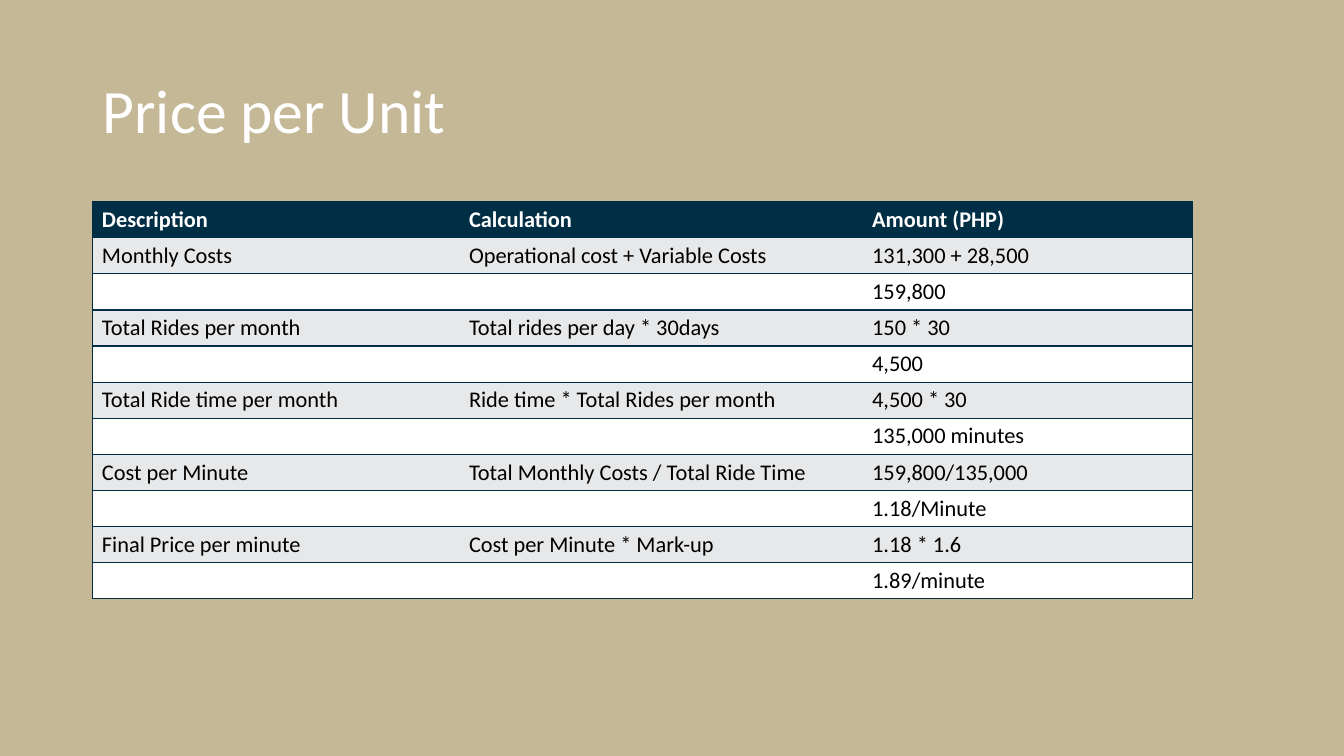
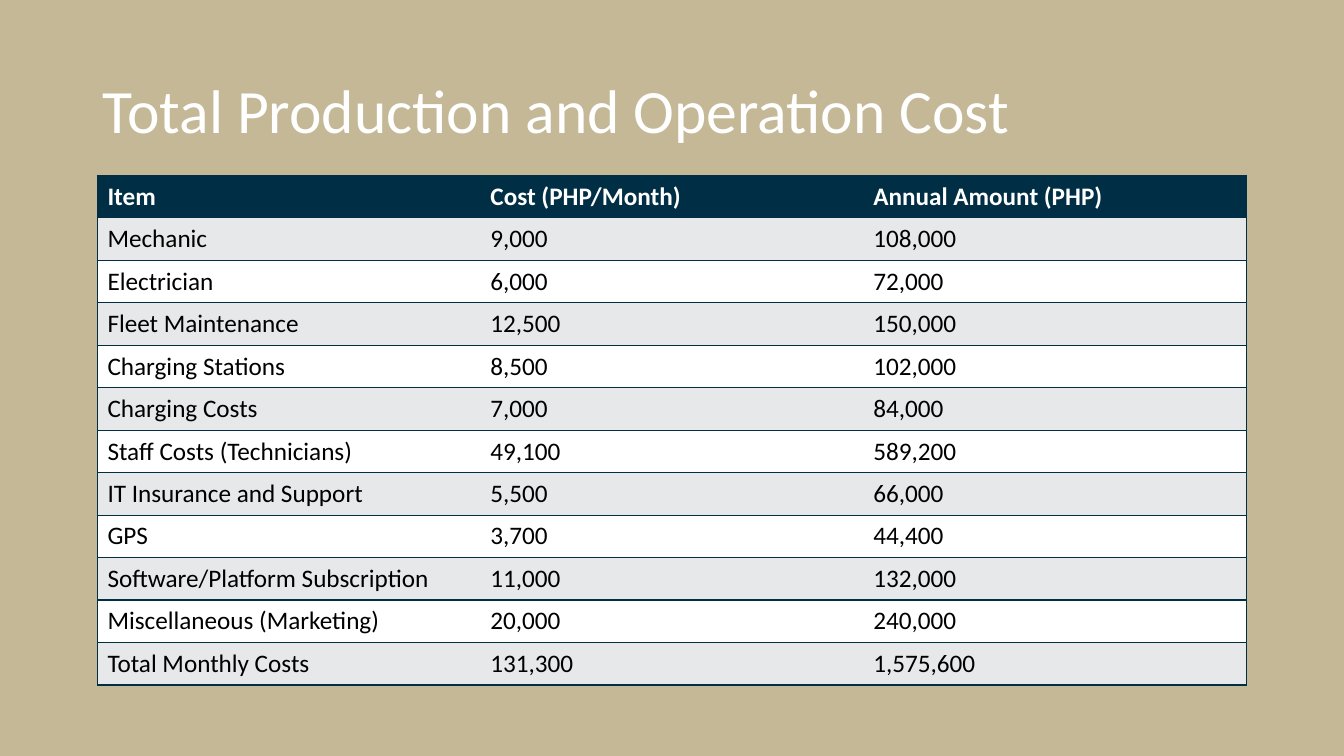
from dataclasses import dataclass

from lxml import etree
from pptx import Presentation
from pptx.dml.color import RGBColor
from pptx.enum import text
from pptx.oxml import ns
from pptx.util import Cm, Pt


@dataclass(frozen=True)
class Theme:
    font: str = "Calibri"
    background: str = "C4B897"
    navy: str = "002E44"
    band: str = "E7E8E9"
    white: str = "FFFFFF"
    black: str = "000000"
    title_size: int = 44
    border: int = 1


THEME = Theme()
TITLE_AREA = (2.34, 1.02, 29.21, 3.68)  # left, top, width, height in cm

# Lengths are in cm; inset is (horizontal, vertical).
PAGES = [
    {
        "title": "Price per Unit",
        "left": 2.34, "top": 5.08, "columns": (9.25, 10.16, 8.3),
        "row_height": 0.91, "inset": (0.23, 0.11), "size": 16,
        "rows": [
            ("Description", "Calculation", "Amount (PHP)"),
            ("Monthly Costs", "Operational cost + Variable Costs", "131,300 + 28,500"),
            ("", "", "159,800"),
            ("Total Rides per month", "Total rides per day * 30days", "150 * 30"),
            ("", "", "4,500"),
            ("Total Ride time per month", "Ride time * Total Rides per month", "4,500 * 30"),
            ("", "", "135,000 minutes"),
            ("Cost per Minute", "Total Monthly Costs / Total Ride Time", "159,800/135,000"),
            ("", "", "1.18/Minute"),
            ("Final Price per minute", "Cost per Minute * Mark-up", "1.18 * 1.6"),
            ("", "", "1.89/minute"),
        ],
    },
    {
        "title": "Total Production and Operation Cost",
        "left": 2.46, "top": 4.42, "columns": (9.65, 9.65, 9.65),
        "row_height": 1.07, "inset": (0.25, 0.13), "size": 18,
        "rows": [
            ("Item", "Cost (PHP/Month)", "Annual Amount (PHP)"),
            ("Mechanic", "9,000", "108,000"),
            ("Electrician", "6,000", "72,000"),
            ("Fleet Maintenance", "12,500", "150,000"),
            ("Charging Stations", "8,500", "102,000"),
            ("Charging Costs", "7,000", "84,000"),
            ("Staff Costs (Technicians)", "49,100", "589,200"),
            ("IT Insurance and Support", "5,500", "66,000"),
            ("GPS", "3,700", "44,400"),
            ("Software/Platform Subscription", "11,000", "132,000"),
            ("Miscellaneous (Marketing)", "20,000", "240,000"),
            ("Total Monthly Costs", "131,300", "1,575,600"),
        ],
    },
]


def write(frame, words, *, size, color, bold=False, line_spacing=None):
    para = frame.paragraphs[0]
    if line_spacing:
        para.line_spacing = line_spacing
    if not words:
        # An empty cell takes its line height from the end-of-paragraph mark.
        etree.SubElement(para._p, ns.qn("a:endParaRPr"), sz=str(size * 100))
        return
    span = para.add_run()
    span.text = words
    span.font.name = THEME.font
    span.font.size = Pt(size)
    span.font.bold = bold
    span.font.color.rgb = RGBColor.from_string(color)


def set_borders(cell, visible_sides):
    """Rule the given sides (letters from LRTB) and clear the others."""
    properties = cell._tc.get_or_add_tcPr()
    for side in "LRTB":
        line = etree.SubElement(properties, ns.qn(f"a:ln{side}"), w=str(Pt(THEME.border)))
        if side in visible_sides:
            fill = etree.SubElement(line, ns.qn("a:solidFill"))
            etree.SubElement(fill, ns.qn("a:srgbClr"), val=THEME.navy)
        else:
            etree.SubElement(line, ns.qn("a:noFill"))


def add_title(page, words):
    box = page.shapes.add_textbox(*map(Cm, TITLE_AREA))
    frame = box.text_frame
    frame.word_wrap = True
    frame.vertical_anchor = text.MSO_ANCHOR.MIDDLE
    write(frame, words, size=THEME.title_size, color=THEME.white, line_spacing=0.9)


def add_cost_table(page, content):
    rows, columns = content["rows"], content["columns"]
    height = Cm(content["row_height"])
    table = page.shapes.add_table(
        len(rows), len(columns), Cm(content["left"]), Cm(content["top"]),
        Cm(sum(columns)), height * len(rows)).table
    for column, width in zip(table.columns, columns):
        column.width = Cm(width)

    inset_x, inset_y = map(Cm, content["inset"])
    last = len(columns) - 1
    for r, row in enumerate(rows):
        table.rows[r].height = height
        header = r == 0
        fill = THEME.navy if header else (THEME.white, THEME.band)[r % 2]
        for c, words in enumerate(row):
            cell = table.cell(r, c)
            cell.margin_left = cell.margin_right = inset_x
            cell.margin_top = cell.margin_bottom = inset_y
            cell.vertical_anchor = text.MSO_ANCHOR.MIDDLE
            set_borders(cell, "TB" + "L" * (c == 0) + "R" * (c == last))
            cell.fill.solid()
            cell.fill.fore_color.rgb = RGBColor.from_string(fill)
            write(cell.text_frame, words, size=content["size"], bold=header,
                  color=THEME.white if header else THEME.black)


def main():
    deck = Presentation()
    deck.slide_width, deck.slide_height = Cm(33.87), Cm(19.05)
    background = deck.slide_master.background.fill
    background.solid()
    background.fore_color.rgb = RGBColor.from_string(THEME.background)
    blank = deck.slide_layouts[6]
    for content in PAGES:
        page = deck.slides.add_slide(blank)
        add_title(page, content["title"])
        add_cost_table(page, content)
    deck.save("out.pptx")


if __name__ == "__main__":
    main()
